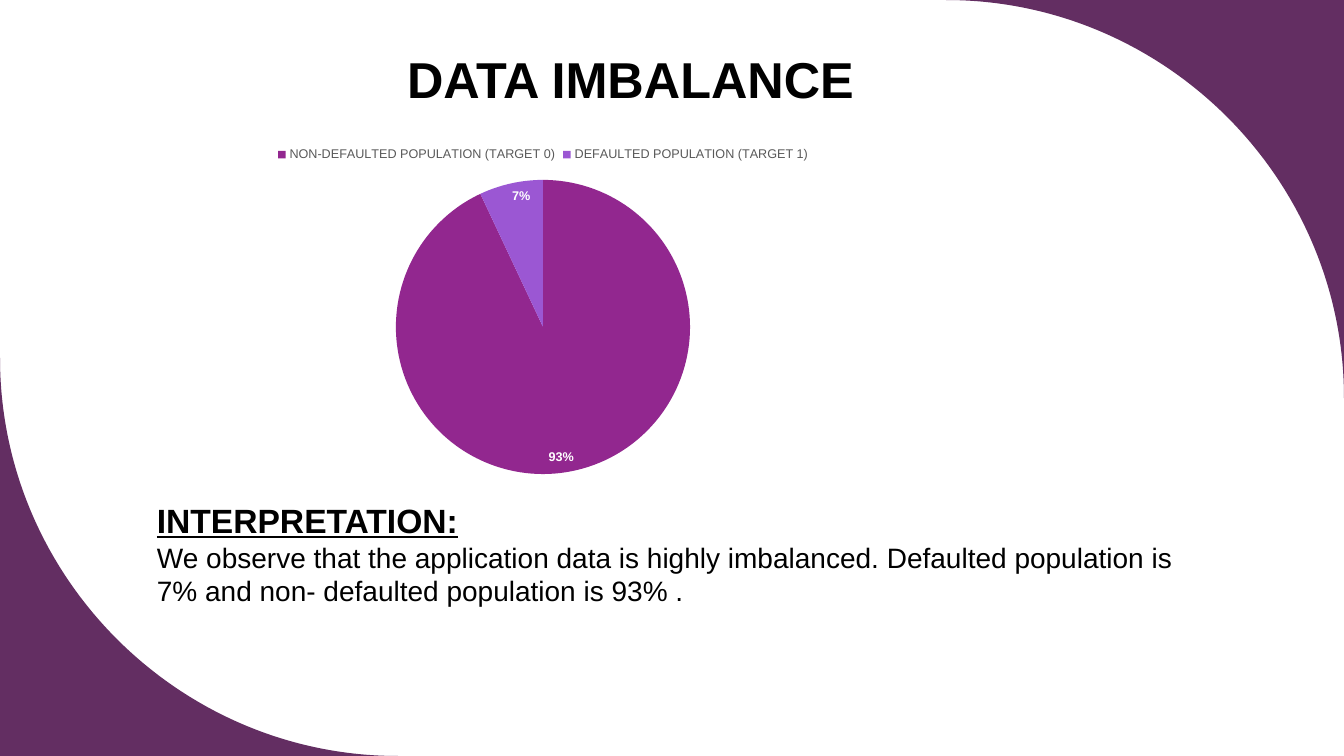
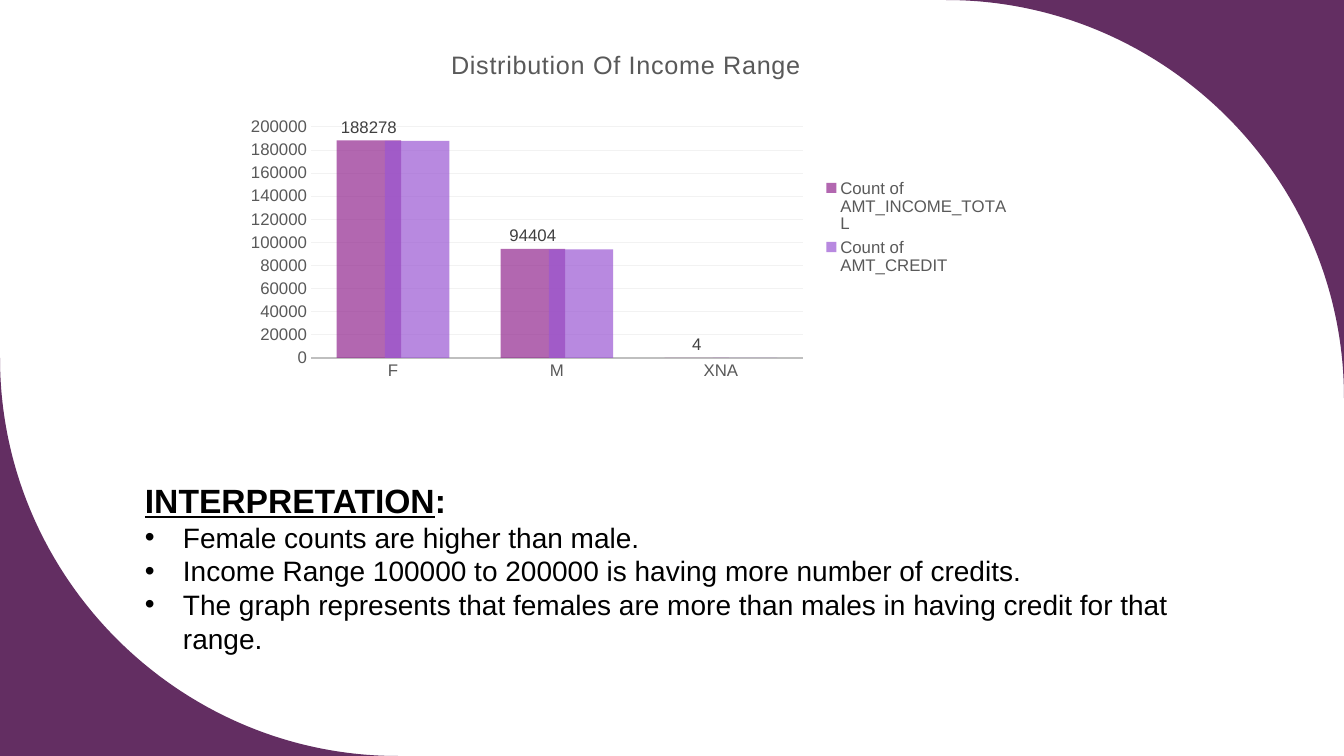
from pptx import Presentation
from pptx.chart.data import CategoryChartData
from pptx.dml.color import RGBColor
from pptx.enum.chart import (XL_CHART_TYPE, XL_LABEL_POSITION,
                             XL_LEGEND_POSITION, XL_TICK_MARK)
from pptx.enum.text import MSO_ANCHOR, MSO_AUTO_SIZE, PP_ALIGN
from pptx.oxml import parse_xml
from pptx.oxml.ns import nsdecls
from pptx.util import Emu, Pt

PIE, COLUMNS = XL_CHART_TYPE.PIE, XL_CHART_TYPE.COLUMN_CLUSTERED
INSIDE_END, OUTSIDE_END = XL_LABEL_POSITION.INSIDE_END, XL_LABEL_POSITION.OUTSIDE_END
LEGEND_TOP, LEGEND_RIGHT = XL_LEGEND_POSITION.TOP, XL_LEGEND_POSITION.RIGHT
NO_TICK = XL_TICK_MARK.NONE

WIDTH, HEIGHT = 1344, 756
FONT = "Arial"
BLACK, WHITE, PLUM = "000000", "FFFFFF", "632E62"
GREY, DARK_GREY = "595959", "404040"
AXIS_GREY, GRID_GREY = "BFBFBF", "F2F2F2"
SERIES_COLOURS = ["92278F", "9B57D3"]

CORNER_RADIUS = 398
ARC_PULL = 0.55
BULLET_INDENT = 38

# Chart boxes are on the page; plot and legend boxes are inside their chart.
PIE_BOX = (186, 136, 714, 352)
INCOME_BOX = (232, 31, 788, 366)
INCOME_PLOT = (79, 96, 492, 231)
INCOME_LEGEND = (590, 143, 189, 106)

# Text paragraphs: (kind, [(words, underlined), ...])
TITLE = "DATA IMBALANCE"
PIE_DATA = {
    "categories": ["NON-DEFAULTED POPULATION (TARGET 0)",
                   "DEFAULTED POPULATION (TARGET 1)"],
    "series": {"Series 1": [93, 7]},
}
PIE_NOTES = [
    ("heading", [("INTERPRETATION:", True)]),
    ("plain", [("We observe that the application data is highly imbalanced. "
                "Defaulted population is 7% and non- defaulted population is 93% .",
                False)]),
]
INCOME_TITLE = "Distribution Of Income Range"
INCOME_DATA = {
    "categories": ["F", "M", "XNA"],
    "series": {"Count of AMT_INCOME_TOTAL": [188278, 94404, 4],
               "Count of AMT_CREDIT": [188000, 94000, 0]},
}
INCOME_NOTES = [
    ("heading", [("INTERPRETATION", True), (":", False)]),
    ("bullet", [("Female counts are higher than male.", False)]),
    ("bullet", [("Income Range 100000 to 200000 is having more number of credits.",
                 False)]),
    ("bullet", [("The graph represents that females are more than males in having "
                 "credit for that range.", False)]),
]


def px(length):
    """Turn pixels into EMU."""
    return Emu(round(length * 914400 / 100.8))


def colour(code):
    """Turn a hex string into a colour."""
    return RGBColor.from_string(code)


def style_font(font, size, code, bold=False):
    """Set face, size, colour and weight of a font."""
    font.name, font.size, font.bold = FONT, Pt(size), bold
    font.color.rgb = colour(code)


def place(shape, left, top, width, height):
    """Move and size a shape, in pixels."""
    shape.left, shape.top = px(left), px(top)
    shape.width, shape.height = px(width), px(height)


def add_corner(master, page, corner, start, end):
    """Draw a corner cut by a quarter circle and move it to the master."""
    builder = page.shapes.build_freeform(px(corner[0]), px(corner[1]))
    builder.add_line_segments([(px(x), px(y)) for x, y in (start, end)], close=True)
    shape = builder.convert_to_shape()
    shape.shadow.inherit = False
    shape.fill.solid()
    shape.fill.fore_color.rgb = colour(PLUM)
    shape.line.fill.background()

    pulls = [[side + ARC_PULL * (tip - side) for side, tip in zip(point, corner)]
             for point in (start, end)]
    points = "".join(f'<a:pt x="{px(x) - shape.left}" y="{px(y) - shape.top}"/>'
                     for x, y in (*pulls, end))
    straight = shape.element.xpath(".//a:lnTo")[1]
    straight.getparent().replace(straight, parse_xml(
        f'<a:cubicBezTo {nsdecls("a")}>{points}</a:cubicBezTo>'))
    master.shapes.element.append(shape.element)


def set_title(page, text):
    """Fill and format the title placeholder."""
    title = page.shapes.title
    place(title, 257, 34, 1078, 80)
    frame = title.text_frame
    frame.text = text
    frame.auto_size = MSO_AUTO_SIZE.NONE
    frame.vertical_anchor = MSO_ANCHOR.BOTTOM
    frame.margin_left = px(150)
    para = frame.paragraphs[0]
    para.alignment = PP_ALIGN.LEFT
    para.line_spacing = 0.9
    style_font(para.font, 36, BLACK, bold=True)


def add_notes(page, notes, left, top, width, height):
    """Add the interpretation text with its heading and optional bullets."""
    box = page.shapes.add_textbox(px(left), px(top), px(width), px(height))
    frame = box.text_frame
    frame.word_wrap = True
    for index, (kind, spans) in enumerate(notes):
        para = frame.add_paragraph() if index else frame.paragraphs[0]
        for words, underlined in spans:
            span = para.add_run()
            span.text = words
            span.font.underline = underlined
        heading = kind == "heading"
        style_font(para.font, 24 if heading else 20, BLACK, bold=heading)
        if kind == "bullet":
            properties = para.font._element.getparent()
            properties.set("marL", str(px(BULLET_INDENT)))
            properties.set("indent", str(-px(BULLET_INDENT)))
            properties.insert(0, parse_xml(
                f'<a:buFont {nsdecls("a")} typeface="{FONT}"/>'))
            properties.insert(1, parse_xml(f'<a:buChar {nsdecls("a")} char="•"/>'))


def add_chart(page, kind, content, box):
    """Add a chart with the shared base font."""
    data = CategoryChartData()
    data.categories = content["categories"]
    for name, values in content["series"].items():
        data.add_series(name, values)
    chart = page.shapes.add_chart(kind, *map(px, box), data).chart
    style_font(chart.font, 10, BLACK)
    return chart


def set_legend(chart, position, size):
    """Show the legend outside the plot."""
    chart.has_legend = True
    chart.legend.position = position
    chart.legend.include_in_layout = False
    style_font(chart.legend.font, size, GREY)


def fix_layout(part, index, box, chart_box, target=""):
    """Pin a chart part to a pixel box inside its chart."""
    for layout in part.xpath("c:layout"):
        part.remove(layout)
    sizes = chart_box[2:] * 2
    shares = "".join(f'<c:{key} val="{length / size:.4f}"/>'
                     for key, length, size in zip("xywh", box, sizes))
    part.insert(index, parse_xml(
        f'<c:layout {nsdecls("c")}><c:manualLayout>{target}'
        f'<c:xMode val="edge"/><c:yMode val="edge"/>{shares}'
        '</c:manualLayout></c:layout>'))


def add_pie(page):
    """Add the pie of both populations."""
    chart = add_chart(page, PIE, PIE_DATA, PIE_BOX)
    chart.has_title = False
    set_legend(chart, LEGEND_TOP, 9)
    plot = chart.plots[0]
    plot.vary_by_categories = True
    for index, code in enumerate(SERIES_COLOURS):
        fill = plot.series[0].points[index].format.fill
        fill.solid()
        fill.fore_color.rgb = colour(code)
    labels = plot.series[0].data_labels
    labels.show_value, labels.show_percentage = False, True
    labels.number_format, labels.number_format_is_linked = "0%", False
    labels.position = INSIDE_END
    style_font(labels.font, 9, WHITE, bold=True)


def add_income_columns(page):
    """Add the column chart of income and credit counts."""
    chart = add_chart(page, COLUMNS, INCOME_DATA, INCOME_BOX)
    set_legend(chart, LEGEND_RIGHT, 12)
    fix_layout(chart.element.xpath("c:chart/c:plotArea")[0], 0, INCOME_PLOT,
               INCOME_BOX, '<c:layoutTarget val="inner"/>')
    fix_layout(chart.element.xpath("c:chart/c:legend")[0], 1, INCOME_LEGEND,
               INCOME_BOX)

    chart.has_title = True
    chart.chart_title.include_in_layout = False
    span = chart.chart_title.text_frame.paragraphs[0].add_run()
    span.text = INCOME_TITLE
    style_font(span.font, 18, GREY)
    chart.element.xpath(".//c:title//a:rPr")[0].set("spc", "50")

    plot = chart.plots[0]
    plot.vary_by_categories = False
    plot.gap_width, plot.overlap = 80, 25
    for series, code in zip(plot.series, SERIES_COLOURS):
        series.format.fill.solid()
        series.format.fill.fore_color.rgb = colour(code)
    for paint in chart.element.xpath(".//c:ser/c:spPr/a:solidFill/a:srgbClr"):
        paint.append(parse_xml(f'<a:alpha {nsdecls("a")} val="70000"/>'))
    labels = plot.series[0].data_labels
    labels.show_value = True
    labels.position = OUTSIDE_END
    style_font(labels.font, 12, DARK_GREY)

    categories, values = chart.category_axis, chart.value_axis
    for axis in (categories, values):
        axis.major_tick_mark = axis.minor_tick_mark = NO_TICK
        style_font(axis.tick_labels.font, 12, GREY)
    categories.format.line.color.rgb = colour(AXIS_GREY)
    categories.format.line.width = Pt(1.25)
    values.minimum_scale, values.maximum_scale = 0, 200000
    values.major_unit = 20000
    values.format.line.fill.background()
    values.has_major_gridlines = True
    values.major_gridlines.format.line.color.rgb = colour(GRID_GREY)
    values.major_gridlines.format.line.width = Pt(0.75)


deck = Presentation()
deck.slide_width, deck.slide_height = px(WIDTH), px(HEIGHT)
title_only, blank = deck.slide_layouts[5], deck.slide_layouts[6]

imbalance_page = deck.slides.add_slide(title_only)
add_corner(deck.slide_master, imbalance_page, (WIDTH, 0),
           (WIDTH - CORNER_RADIUS, 0), (WIDTH, CORNER_RADIUS))
add_corner(deck.slide_master, imbalance_page, (0, HEIGHT),
           (CORNER_RADIUS, HEIGHT), (0, HEIGHT - CORNER_RADIUS))
set_title(imbalance_page, TITLE)
add_notes(imbalance_page, PIE_NOTES, 147, 495, 1050, 119)
add_pie(imbalance_page)

income_page = deck.slides.add_slide(blank)
add_notes(income_page, INCOME_NOTES, 135, 475, 1111, 183)
add_income_columns(income_page)

deck.save("out.pptx")
